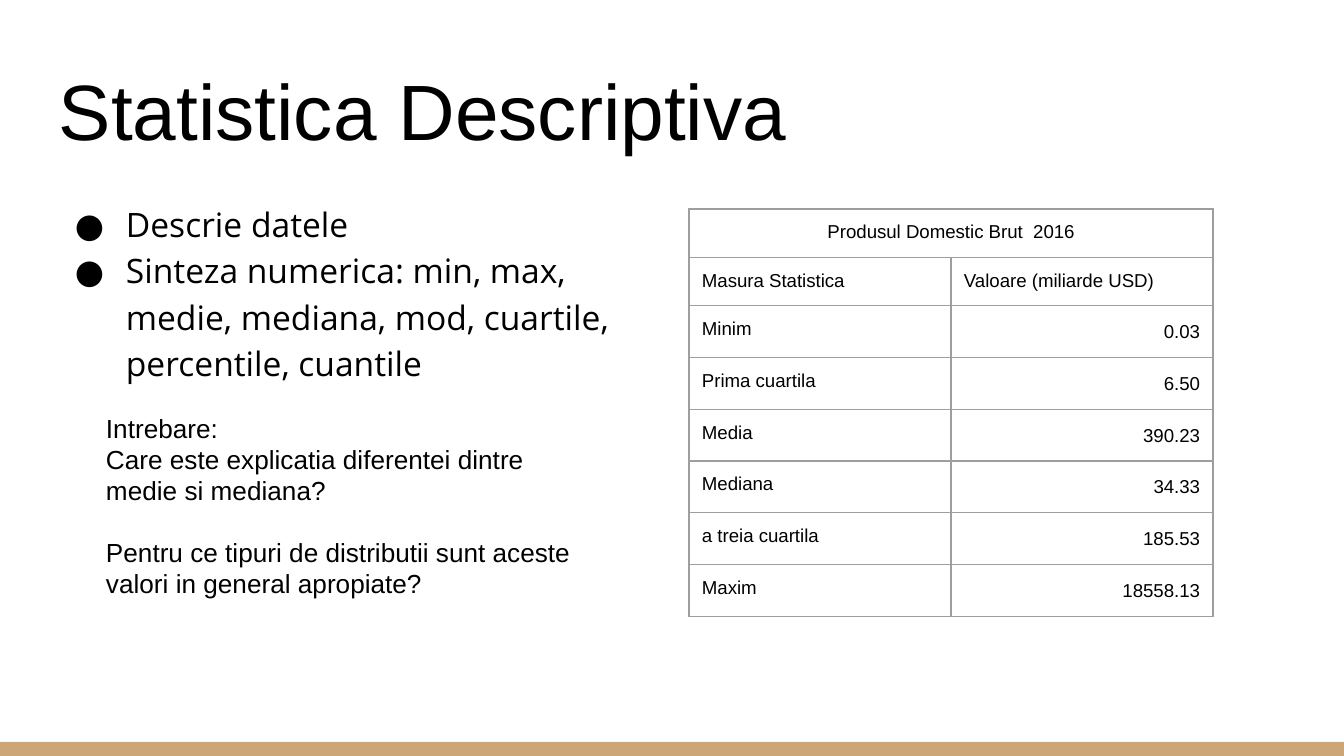
from lxml import etree
from pptx import Presentation
from pptx import util as u
from pptx.dml.color import RGBColor
from pptx.enum import shapes, text
from pptx.oxml.ns import qn

SCALE = 914400 / 134.4
THEME = {
    "ink": "000000", "accent": "CCA677", "grid": "9E9E9E",
    "title": 42, "body": 18, "question": 14, "table": 10,
    "sans": "Arial", "body_font": "Open Sans",
}
INSET = 13


def px(length):
    return u.Emu(round(length * SCALE))


def write(para, words, size, font=THEME["sans"]):
    """Add one styled run to a paragraph."""
    span = para.add_run()
    span.text = words
    span.font.size = u.Pt(size)
    span.font.name = font
    span.font.color.rgb = RGBColor.from_string(THEME["ink"])


deck = Presentation()
deck.slide_width, deck.slide_height = px(1344), px(756)
page = deck.slides.add_slide(deck.slide_layouts[6])

# Footer band
band = page.shapes.add_shape(shapes.MSO_SHAPE.RECTANGLE, 0, px(742), px(1344), px(14))
band.shadow.inherit = False
band.fill.solid()
band.fill.fore_color.rgb = RGBColor.from_string(THEME["accent"])
band.line.fill.background()

# Text frames
frames = {}
for name, bounds in {
    "title": (46, 47, 1253, 122),
    "body": (46, 185, 634, 485),
    "question": (93, 399, 496, 292),
}.items():
    box = page.shapes.add_textbox(*map(px, bounds))
    frame = box.text_frame
    frame.word_wrap = True
    frame.margin_left = frame.margin_right = px(INSET)
    frame.margin_top = frame.margin_bottom = px(INSET)
    frames[name] = frame

frames["title"].vertical_anchor = text.MSO_ANCHOR.BOTTOM
write(frames["title"].paragraphs[0], "Statistica Descriptiva", THEME["title"])

points = [
    "Descrie datele",
    "Sinteza numerica: min, max, medie, mediana, mod, cuartile, percentile, cuantile",
]
for index, words in enumerate(points):
    para = frames["body"].add_paragraph() if index else frames["body"].paragraphs[0]
    para.line_spacing = 1.15
    write(para, words, THEME["body"], THEME["body_font"])
    props = para._p.get_or_add_pPr()
    props.set("marL", str(px(67)))
    props.set("indent", str(px(-51)))
    colour = etree.SubElement(props, qn("a:buClr"))
    etree.SubElement(colour, qn("a:srgbClr"), val=THEME["ink"])
    etree.SubElement(props, qn("a:buFont"), typeface=THEME["body_font"])
    etree.SubElement(props, qn("a:buChar"), char="●")

questions = [
    ("Intrebare:", 0),
    ("Care este explicatia diferentei dintre medie si mediana?", 0),
    ("Pentru ce tipuri de distributii sunt aceste valori in general apropiate?", 16),
]
for index, (words, gap) in enumerate(questions):
    para = frames["question"].add_paragraph() if index else frames["question"].paragraphs[0]
    para.space_before = u.Pt(gap)
    write(para, words, THEME["question"])

# Statistics table
rows = [
    ("Produsul Domestic Brut  2016", ""),
    ("Masura Statistica", "Valoare (miliarde USD)"),
    ("Minim", "0.03"),
    ("Prima cuartila", "6.50"),
    ("Media", "390.23"),
    ("Mediana", "34.33"),
    ("a treia cuartila", "185.53"),
    ("Maxim", "18558.13"),
]
heights = [48, 47] + [51] * 6
holder = page.shapes.add_table(len(rows), 2, px(689), px(209), px(524), px(sum(heights)))
table = holder.table
table.first_row = table.horz_banding = False
for column in table.columns:
    column.width = px(262)
table.cell(0, 0).merge(table.cell(0, 1))

for r, values in enumerate(rows):
    table.rows[r].height = px(heights[r])
    for c, words in enumerate(values):
        cell = table.cell(r, c)
        cell.margin_left = cell.margin_right = px(INSET)
        cell.margin_top = cell.margin_bottom = px(INSET)
        cell.fill.background()
        props = cell._tc.get_or_add_tcPr()
        for place, side in enumerate(("lnL", "lnR", "lnT", "lnB")):
            border = etree.Element(qn(f"a:{side}"), w=str(u.Pt(0.75)))
            fill = etree.SubElement(border, qn("a:solidFill"))
            etree.SubElement(fill, qn("a:srgbClr"), val=THEME["grid"])
            props.insert(place, border)
        if cell.is_spanned:
            continue
        para = cell.text_frame.paragraphs[0]
        if r == 0:
            para.alignment = text.PP_ALIGN.CENTER
        elif r > 1 and c == 1:
            para.alignment = text.PP_ALIGN.RIGHT
            para.line_spacing = 1.15
        write(para, words, THEME["table"])

deck.save("out.pptx")
